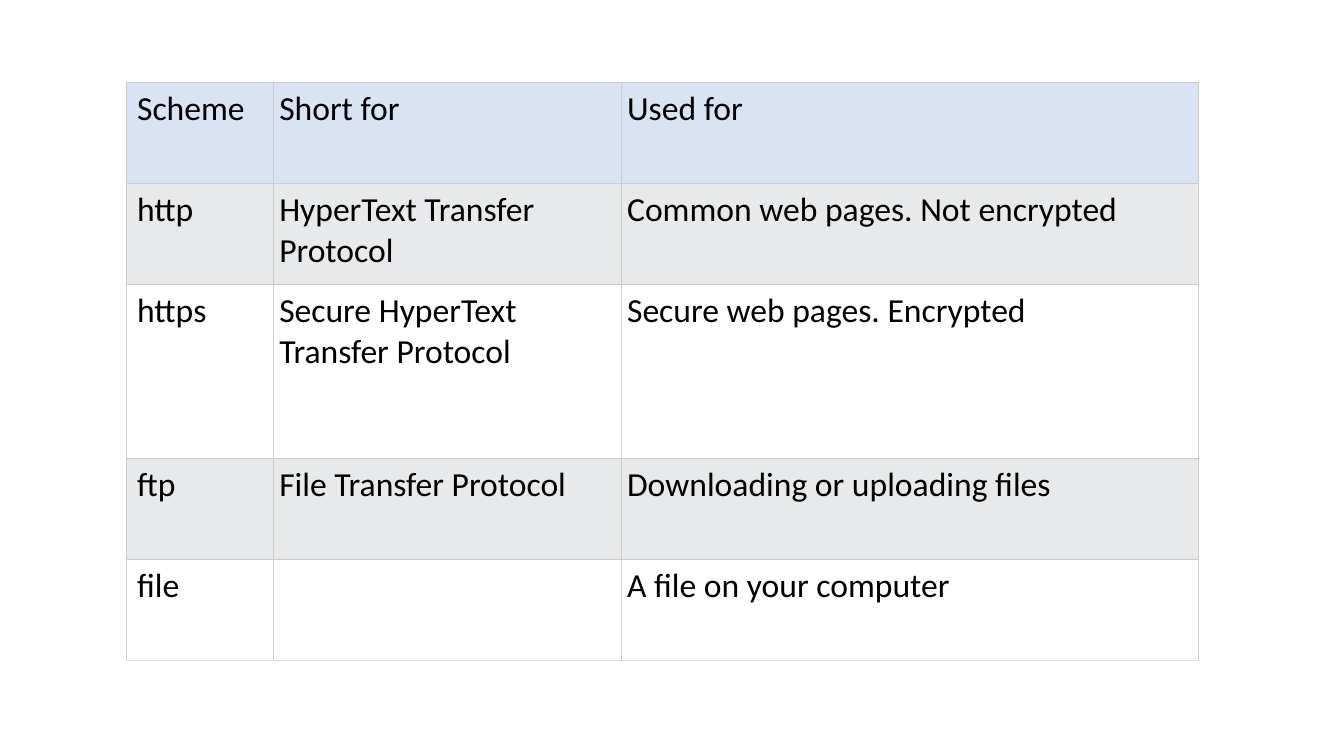
"""Build a slide with a table of common URL schemes."""
from lxml import etree
from pptx import Presentation
from pptx import util as u
from pptx.dml.color import RGBColor
from pptx.oxml.ns import qn

HEADER = ("Scheme", "Short for", "Used for")
SCHEMES = [
    ("http", "HyperText Transfer Protocol", "Common web pages. Not encrypted"),
    ("https", "Secure HyperText Transfer Protocol", "Secure web pages. Encrypted"),
    ("ftp", "File Transfer Protocol", "Downloading or uploading files"),
    ("file", "", "A file on your computer"),
]
COLUMN_WIDTHS = (1.46, 3.45, 5.73)
ROW_HEIGHTS = (1, 1, 1.73, 1, 1)
LEFT, TOP = 1.25, 0.82
PADDING, FIRST_PADDING = 0.06, 0.11

BLACK = RGBColor(0x00, 0x00, 0x00)
WHITE = RGBColor(0xFF, 0xFF, 0xFF)
HEADER_BLUE = RGBColor(0xDA, 0xE3, 0xF3)
BAND_GRAY = RGBColor(0xE7, 0xE9, 0xEB)
GRID_GRAY = RGBColor(0xCC, 0xCC, 0xCC)
BOTTOM_GRAY = RGBColor(0xDD, 0xDD, 0xDD)


def write(cell, content, size=24, font="Calibri", color=BLACK):
    """Put formatted text in a cell."""
    paragraph = cell.text_frame.paragraphs[0]
    paragraph.font.size = u.Pt(size)
    if content:
        run = paragraph.add_run()
        run.text = content
        run.font.size = u.Pt(size)
        run.font.name = font
        run.font.color.rgb = color


def add_border(cell, side, color, width=0.5):
    """Draw one side of a cell's border."""
    line = etree.SubElement(cell._tc.get_or_add_tcPr(), qn(f"a:ln{side}"), w=str(u.Pt(width)))
    fill = etree.SubElement(line, qn("a:solidFill"))
    etree.SubElement(fill, qn("a:srgbClr"), val=str(color))


def row_fill(row):
    """Return the header colour or the alternating band colour."""
    if row == 0:
        return HEADER_BLUE
    return BAND_GRAY if row % 2 else WHITE


deck = Presentation()
deck.slide_width, deck.slide_height = u.Inches(13.33), u.Inches(7.5)
slide = deck.slides.add_slide(deck.slide_layouts[6])

rows = [HEADER, *SCHEMES]
scheme_table = slide.shapes.add_table(
    len(rows), len(HEADER), u.Inches(LEFT), u.Inches(TOP),
    u.Inches(sum(COLUMN_WIDTHS)), u.Inches(sum(ROW_HEIGHTS))).table
scheme_table.first_row = scheme_table.horz_banding = False
for column, width in zip(scheme_table.columns, COLUMN_WIDTHS):
    column.width = u.Inches(width)
for row, height in zip(scheme_table.rows, ROW_HEIGHTS):
    row.height = u.Inches(height)

for r, entries in enumerate(rows):
    for c, entry in enumerate(entries):
        cell = scheme_table.cell(r, c)
        cell.margin_left = u.Inches(PADDING if c else FIRST_PADDING)
        cell.margin_top = cell.margin_right = cell.margin_bottom = u.Inches(PADDING)
        for side in "LRTB":
            at_bottom = side == "B" and r == len(rows) - 1
            add_border(cell, side, BOTTOM_GRAY if at_bottom else GRID_GRAY)
        cell.fill.solid()
        cell.fill.fore_color.rgb = row_fill(r)
        write(cell, entry)

deck.save("out.pptx")
